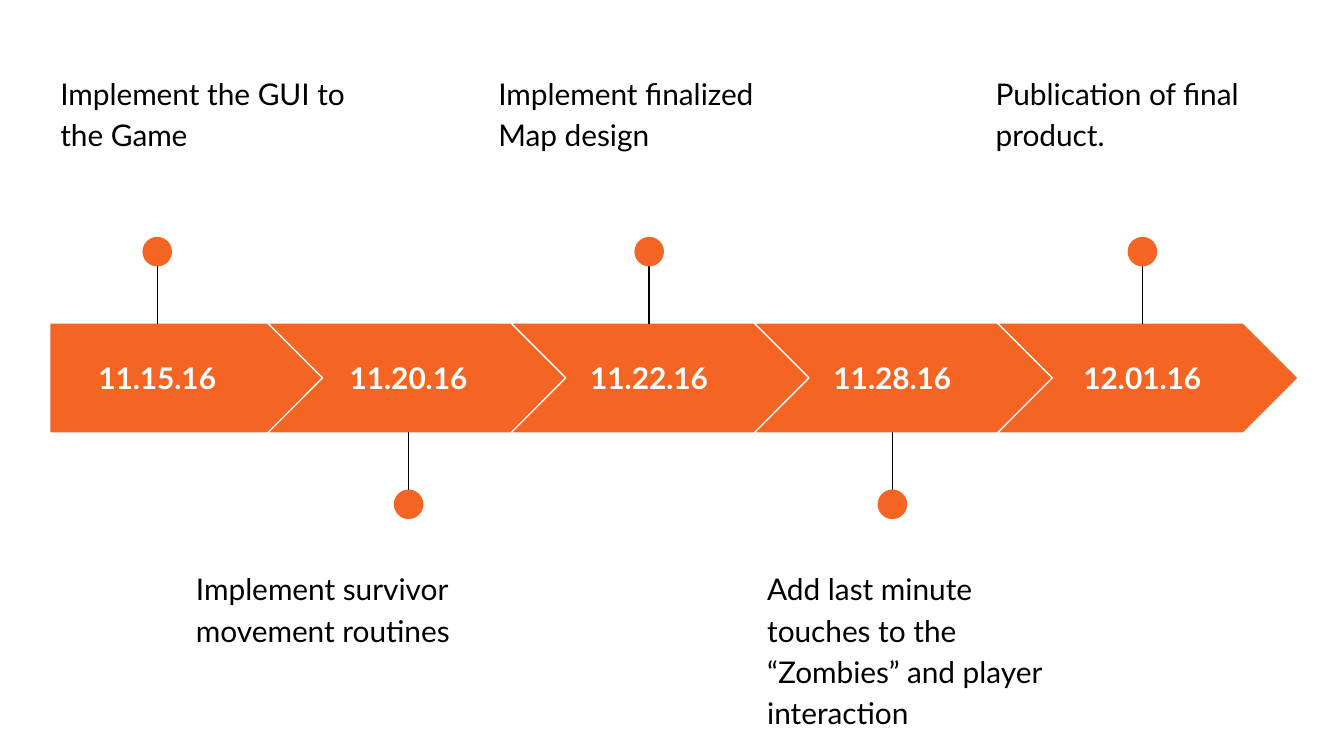
from lxml.etree import SubElement
from pptx import Presentation
from pptx.dml.color import RGBColor
from pptx.enum.shapes import MSO_CONNECTOR, MSO_SHAPE
from pptx.enum.text import MSO_ANCHOR, PP_ALIGN
from pptx.oxml.ns import qn
from pptx.util import Inches, Pt

COLORS = {"orange": "F46524", "white": "FFFFFF", "black": "000000"}

SLIDE_WIDTH = 10
SLIDE_HEIGHT = SLIDE_WIDTH * 9 / 16

# Band of arrows: every chevron starts one step after the previous one
BAND_MIDDLE = SLIDE_HEIGHT / 2
BAND_HEIGHT = 0.82
BAND_TOP = BAND_MIDDLE - BAND_HEIGHT / 2
FIRST_LEFT, FIRST_WIDTH = 0.37, 2.05
CHEVRON_LEFT, CHEVRON_WIDTH, CHEVRON_STEP = 1.99, 2.24, 1.81
DATE_WIDTH, DATE_HEIGHT = 1.44, 0.51
NOTE_WIDTH, NOTE_HEIGHT = 2.45, 0.99
NOTE_TOP_ABOVE, NOTE_TOP_BELOW = 0.42, 4.11
DOT = 0.22
# Distances from the band's middle
DOT_OFFSET, PIN_OUTER, PIN_INNER = 0.94, 1.01, 0.4

# date, note, centre of the date and its pin, left edge of the note
MILESTONES = [
    ("11.15.16", "Implement the GUI to the Game", 1.17, 0.35),
    ("11.20.16", "Implement survivor movement routines", 3.04, 1.36),
    ("11.22.16", "Implement finalized Map design", 4.83, 3.61),
    ("11.28.16", "Add last minute touches to the “Zombies” and player interaction",
     6.64, 5.61),
    ("12.01.16", "Publication of final product.", 8.5, 7.31),
]


def add_filled(preset, left, top, width, height):
    """Add a shadowless orange shape."""
    shape = slide.shapes.add_shape(
        preset, Inches(left), Inches(top), Inches(width), Inches(height))
    shape.shadow.inherit = False
    shape.fill.solid()
    shape.fill.fore_color.rgb = RGBColor.from_string(COLORS["orange"])
    return shape


def add_label(text, left, top, width, height, color):
    """Add a wrapping text box and return its text frame."""
    frame = slide.shapes.add_textbox(
        Inches(left), Inches(top), Inches(width), Inches(height)).text_frame
    frame.word_wrap = True
    frame.margin_left = frame.margin_right = Inches(0.1)
    frame.margin_top = frame.margin_bottom = Inches(0.1)
    frame.text = text
    font = frame.paragraphs[0].runs[0].font
    font.name, font.size = "Lato", Pt(16)
    font.color.rgb = RGBColor.from_string(COLORS[color])
    return frame


prs = Presentation()
prs.slide_width, prs.slide_height = Inches(SLIDE_WIDTH), Inches(SLIDE_HEIGHT)
slide = prs.slides.add_slide(prs.slide_layouts[6])

for index, (date, note, center, note_left) in enumerate(MILESTONES):
    if index == 0:
        arrow = add_filled(MSO_SHAPE.PENTAGON, FIRST_LEFT, BAND_TOP,
                           FIRST_WIDTH, BAND_HEIGHT)
    else:
        arrow = add_filled(MSO_SHAPE.CHEVRON,
                           CHEVRON_LEFT + (index - 1) * CHEVRON_STEP, BAND_TOP,
                           CHEVRON_WIDTH, BAND_HEIGHT)
    arrow.adjustments[0] = 0.5
    arrow.line.color.rgb = RGBColor.from_string(COLORS["white"])
    arrow.line.width = Pt(0.75)

    date_frame = add_label(date, center - DATE_WIDTH / 2,
                           BAND_MIDDLE - DATE_HEIGHT / 2,
                           DATE_WIDTH, DATE_HEIGHT, "white")
    date_frame.vertical_anchor = MSO_ANCHOR.MIDDLE
    date_frame.paragraphs[0].alignment = PP_ALIGN.CENTER
    date_frame.paragraphs[0].runs[0].font.bold = True

    # Pins and notes alternate above and below the band
    side = -1 if index % 2 == 0 else 1
    pin = slide.shapes.add_connector(
        MSO_CONNECTOR.STRAIGHT,
        Inches(center), Inches(BAND_MIDDLE + side * PIN_OUTER),
        Inches(center), Inches(BAND_MIDDLE + side * PIN_INNER))
    pin.line.color.rgb = RGBColor.from_string(COLORS["black"])
    pin.line.width = Pt(0.75)
    SubElement(pin.element.spPr, qn("a:effectLst"))

    dot_middle = BAND_MIDDLE + side * DOT_OFFSET
    dot = add_filled(MSO_SHAPE.OVAL, center - DOT / 2, dot_middle - DOT / 2, DOT, DOT)
    dot.line.fill.background()

    note_top = NOTE_TOP_ABOVE if side < 0 else NOTE_TOP_BELOW
    note_frame = add_label(note, note_left, note_top, NOTE_WIDTH, NOTE_HEIGHT, "black")
    note_frame.paragraphs[0].line_spacing = 1.15

prs.save("out.pptx")
